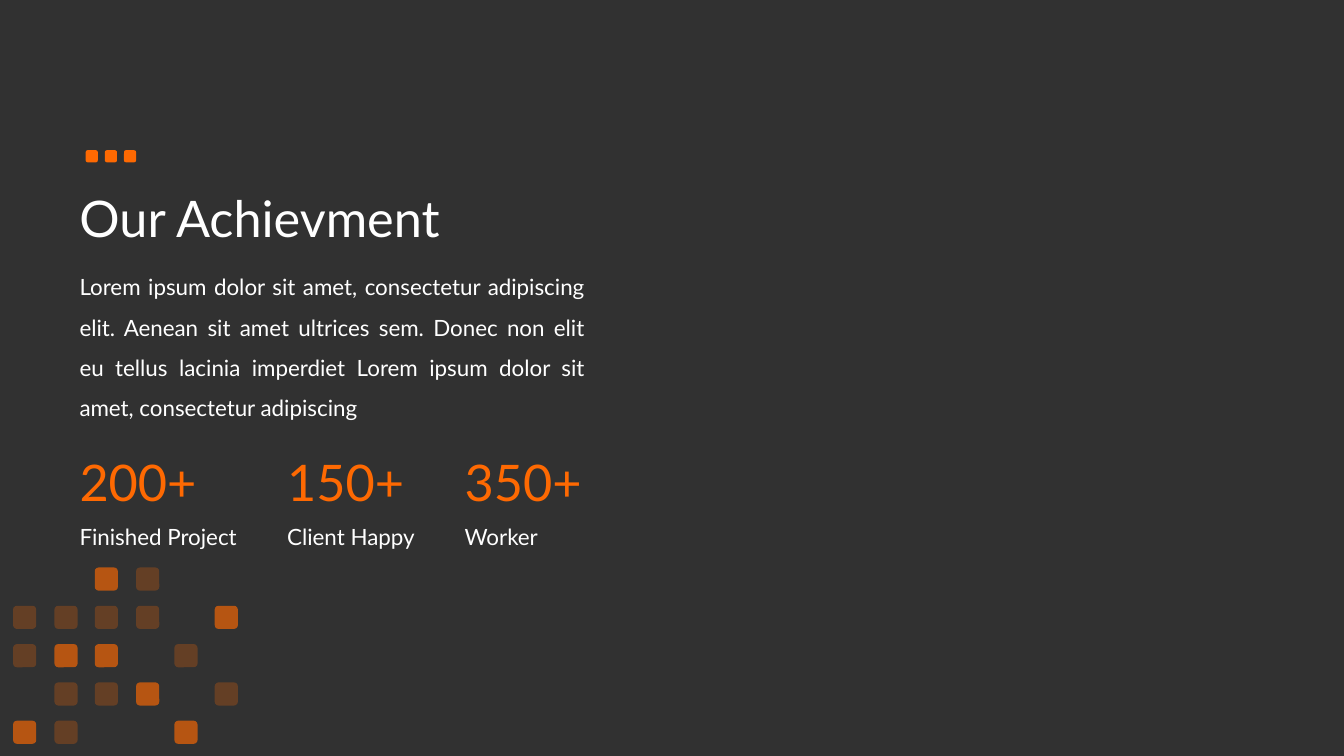
"""Build the achievement slide with its three figures and dot pattern."""
from dataclasses import dataclass, field
from typing import Any

from lxml import etree
from pptx import Presentation
from pptx.dml.color import RGBColor
from pptx.enum.shapes import MSO_SHAPE
from pptx.enum.text import MSO_ANCHOR, MSO_AUTO_SIZE, PP_ALIGN
from pptx.oxml.ns import qn
from pptx.shapes.group import GroupShape
from pptx.slide import Slide
from pptx.util import Pt

PX = 9144
DARK = RGBColor(0x31, 0x31, 0x31)
WHITE = RGBColor(0xFF, 0xFF, 0xFF)
ORANGE = RGBColor(0xFE, 0x69, 0x02)
ROUND = MSO_SHAPE.ROUNDED_RECTANGLE
MIDDLE = MSO_ANCHOR.MIDDLE
GROW = MSO_AUTO_SIZE.SHAPE_TO_FIT_TEXT
JUSTIFY = PP_ALIGN.JUSTIFY

LEFT = 69
BIG = {"name": "Lato", "size": Pt(36)}
SMALL = {"name": "Lato", "size": Pt(16)}
BODY = (
    "Lorem ipsum dolor sit amet, consectetur adipiscing elit. Aenean sit amet "
    "ultrices sem. Donec non elit eu tellus lacinia imperdiet Lorem ipsum dolor "
    "sit amet, consectetur adipiscing"
)
STATS = (
    (LEFT, "200+", "Finished Project"),
    (275, "150+", "Client Happy"),
    (451, "350+", "Worker"),
)
COLUMNS = (13, 54, 94, 135, 173, 213)
PATTERN = (
    "..#o..",
    "oooo.#",
    "o##.o.",
    ".oo#.o",
    "#o..#.",
)
ALPHA = {"#": 65, "o": 25}


@dataclass
class Label:
    """A text box, placed in px."""

    text: str
    left: int
    top: int
    width: int
    height: int
    font: dict[str, Any]
    color: RGBColor = WHITE
    frame: dict[str, Any] = field(default_factory=lambda: {"auto_size": GROW})
    para: dict[str, Any] = field(default_factory=dict)


@dataclass
class Dot:
    """A rounded square, placed in px."""

    left: int
    top: int
    size: int
    alpha: int = 100


def assign(target: Any, values: dict[str, Any]) -> None:
    """Set each named attribute of the target."""
    for name, value in values.items():
        setattr(target, name, value)


def draw_label(slide: Slide, label: Label) -> None:
    """Add a text box to the slide."""
    spot = (label.left, label.top, label.width, label.height)
    frame = slide.shapes.add_textbox(*(n * PX for n in spot)).text_frame
    assign(frame, {"word_wrap": True, **label.frame})
    para = frame.paragraphs[0]
    assign(para, label.para)
    run = para.add_run()
    run.text = label.text
    assign(run.font, label.font)
    run.font.color.rgb = label.color


def draw_dot(group: GroupShape, dot: Dot) -> None:
    """Add a rounded square to the group."""
    spot = (dot.left, dot.top, dot.size, dot.size)
    shape = group.shapes.add_shape(ROUND, *(n * PX for n in spot))
    shape.shadow.inherit = False
    shape.line.fill.background()
    shape.fill.solid()
    shape.fill.fore_color.rgb = ORANGE
    if dot.alpha < 100:
        color = shape.element.spPr.find(qn("a:solidFill"))[0]
        etree.SubElement(color, qn("a:alpha"), val=str(dot.alpha * 1000))


def list_labels() -> list[Label]:
    """List the title, the figures with their captions, and the body."""
    labels = [
        Label("Our Achievment", LEFT, 147, 1150, 145, BIG,
              frame={"vertical_anchor": MIDDLE}, para={"line_spacing": 0.9})
    ]
    for left, value, caption in STATS:
        labels.append(Label(value, left, 443, 159, 71, BIG, ORANGE))
        labels.append(Label(caption, left, 514, 235, 37, SMALL))
    labels.append(Label(BODY, LEFT, 253, 521, 166, SMALL,
                        para={"alignment": JUSTIFY, "line_spacing": 1.5}))
    return labels


def main() -> None:
    """Build and save the slide."""
    deck = Presentation()
    assign(deck, {"slide_width": 1333 * PX, "slide_height": 750 * PX})
    slide = deck.slides.add_slide(deck.slide_layouts[6])
    slide.background.fill.solid()
    slide.background.fill.fore_color.rgb = DARK
    for label in list_labels():
        draw_label(slide, label)
    mosaic = [
        Dot(left, 563 + 38 * row, 23, ALPHA[mark])
        for row, marks in enumerate(PATTERN)
        for left, mark in zip(COLUMNS, marks)
        if mark in ALPHA
    ]
    accent = [Dot(85 + 19 * step, 149, 12) for step in range(3)]
    for dots in (mosaic, accent):
        group = slide.shapes.add_group_shape()
        for dot in dots:
            draw_dot(group, dot)
    deck.save("out.pptx")


if __name__ == "__main__":
    main()
